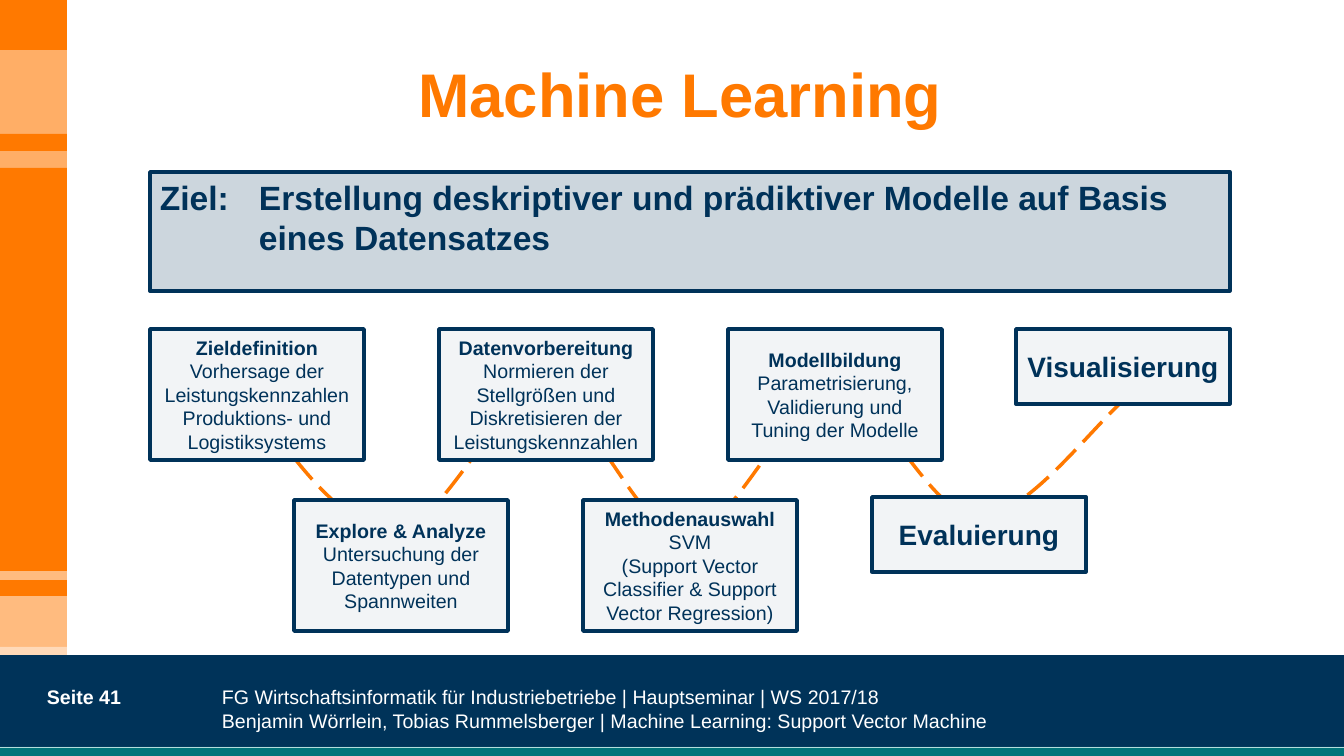
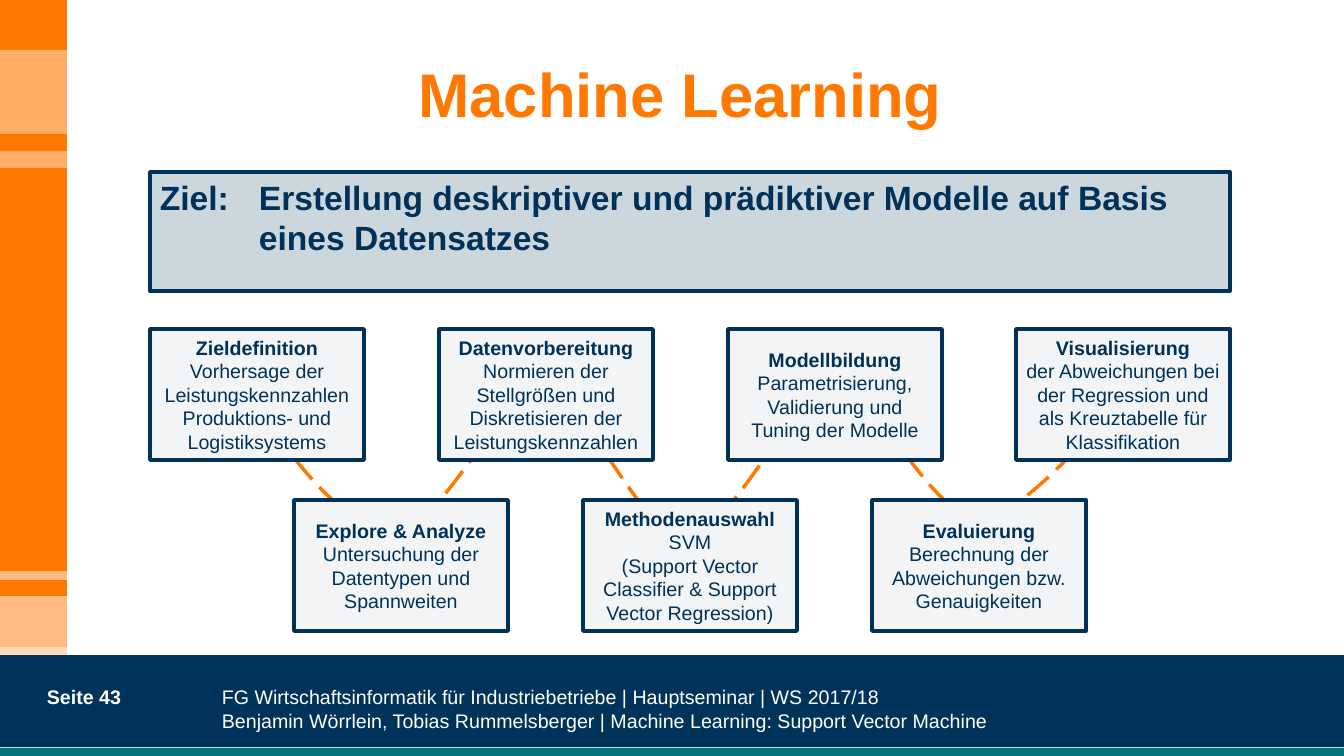
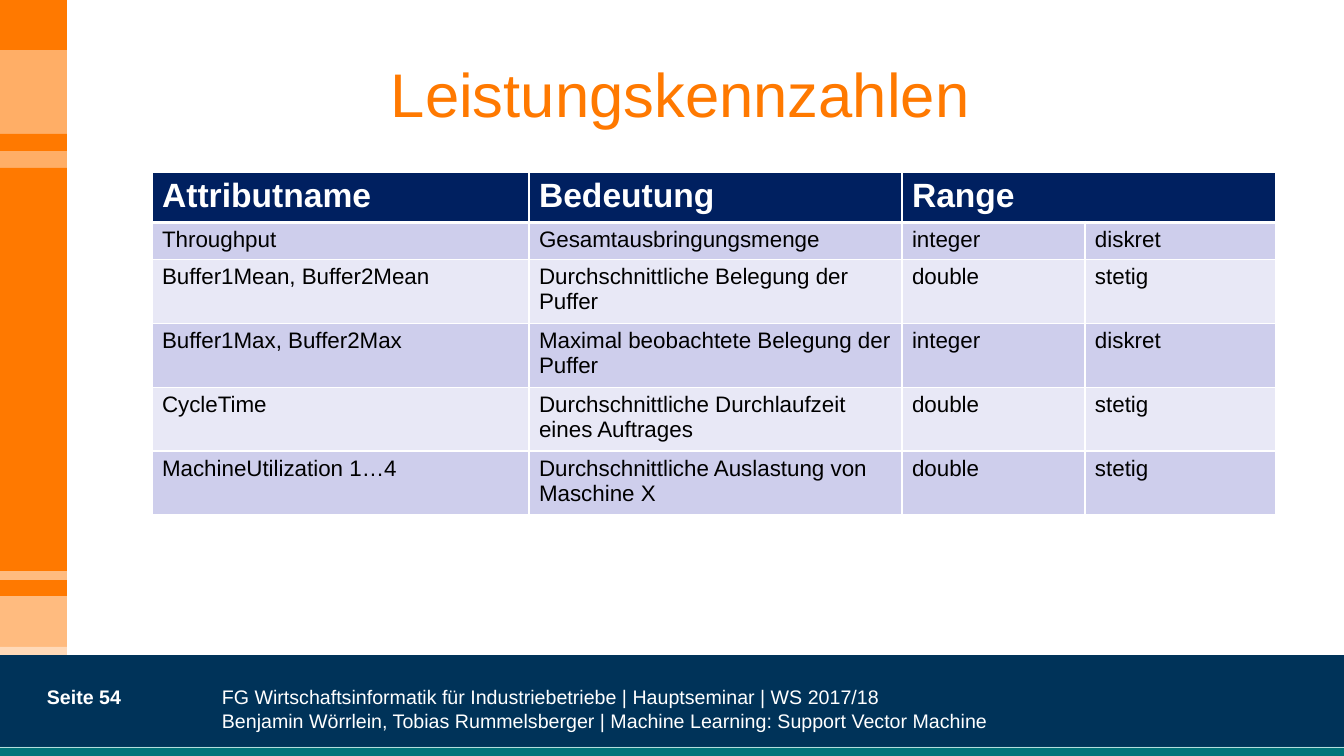
"""Build three slides on machine learning steps and performance figures."""
import pptx
import pptx.dml.color
import pptx.enum.dml
import pptx.enum.shapes
import pptx.enum.text
import pptx.oxml
import pptx.oxml.ns
import pptx.util

PX = 9072
FONT = "Arial"
COLORS = {
    "orange": "FF7900", "footer": "003359", "teal": "00747A",
    "teal_line": "B4DCDC", "navy": "003259", "white": "FFFFFF", "black": "000000",
    "header": "002060", "row_dark": "CECEEC", "row_light": "E8E8F6",
}
COLORS = {name: pptx.dml.color.RGBColor.from_string(code) for name, code in COLORS.items()}
ALIGN = pptx.enum.text.PP_ALIGN
ANCHOR = pptx.enum.text.MSO_ANCHOR
RECTANGLE = pptx.enum.shapes.MSO_SHAPE.RECTANGLE
NAMESPACE = pptx.oxml.ns.nsdecls("a")


def add_rectangle(shapes, place, fill, opacity=100, outline=None):
    """Add a flat rectangle, with an outline where one is named."""
    shape = shapes.add_shape(RECTANGLE, *[value * PX for value in place])
    shape.shadow.inherit = False
    shape.fill.solid()
    shape.fill.fore_color.rgb = COLORS[fill]
    if opacity < 100:
        tint = next(shape.element.spPr.iter(pptx.oxml.ns.qn("a:srgbClr")))
        tint.append(pptx.oxml.parse_xml(f'<a:alpha {NAMESPACE} val="{opacity * 1000}"/>'))
    if outline:
        shape.line.color.rgb = COLORS[outline]
        shape.line.width = pptx.util.Pt(2.5)
    else:
        shape.line.fill.background()
    return shape


def write(frame, lines, size, color, align=ALIGN.LEFT, anchor=ANCHOR.TOP):
    """Write (text, bold) lines as paragraphs, breaking lines at newlines."""
    frame.word_wrap = True
    frame.vertical_anchor = anchor
    for index, (text, bold) in enumerate(lines):
        para = frame.add_paragraph() if index else frame.paragraphs[0]
        para.alignment = align
        for row, part in enumerate(text.split("\n")):
            if row:
                para.add_line_break()
            span = para.add_run()
            span.text = part
            span.font.name = FONT
            span.font.size = pptx.util.Pt(size)
            span.font.bold = bold
            span.font.color.rgb = COLORS[color]


deck = pptx.Presentation()
deck.slide_width = 1344 * PX
deck.slide_height = 756 * PX
layout = deck.slide_layouts[5]

pages = [("Machine Learning", True, 41), ("Machine Learning", True, 43), ("Leistungskennzahlen", False, 54)]
footer_text = (
    "FG Wirtschaftsinformatik für Industriebetriebe | Hauptseminar | WS 2017/18\n"
    "Benjamin Wörrlein, Tobias Rummelsberger | Machine Learning: Support Vector Machine")
slides = []
for title, bold, number in pages:
    slide = deck.slides.add_slide(layout)
    slides.append(slide)
    heading = slide.shapes.title
    heading.left, heading.top, heading.width, heading.height = 85 * PX, 14 * PX, 1191 * PX, 158 * PX
    write(heading.text_frame, [(title, bold)], 44, "orange", ALIGN.CENTER, ANCHOR.MIDDLE)
    for left, width, text, strong in [(212, 803, footer_text, False), (37, 280, f"Seite {number}", True)]:
        box = slide.shapes.add_textbox(left * PX, 680 * PX, width * PX, 76 * PX)
        write(box.text_frame, [(text, strong)], 14, "white")

bands = [
    (0, 0, 67, 571, "orange", 60),
    (0, 655, 1344, 101, "footer", 100),
    (0, 210, 67, 101, "orange", 100),
    (0, 311, 67, 344, "orange", 50),
    (0, 168, 67, 403, "orange", 100),
    (0, 42, 67, 8, "orange", 50),
    (0, 647, 67, 8, "white", 45),
    (0, 747, 1344, 9, "teal", 100),
    (0, 0, 67, 50, "orange", 100),
    (0, 134, 67, 17, "orange", 100),
    (0, 580, 67, 16, "orange", 100),
]
frame_parts = [add_rectangle(slides[0].shapes, band[:4], *band[4:]) for band in bands]
rule = slides[0].shapes.add_connector(
    pptx.enum.shapes.MSO_CONNECTOR.STRAIGHT, 0, 747 * PX, 1344 * PX, 747 * PX)
rule.line.color.rgb = COLORS["teal_line"]
rule.line.width = pptx.util.Pt(0.25)
rule.element.spPr.append(pptx.oxml.parse_xml(f"<a:effectLst {NAMESPACE}/>"))
frame_parts.insert(8, rule)
layout_tree = layout.shapes.element
for index, part in enumerate(frame_parts):
    layout_tree.insert(2 + index, part.element)
for index, item in enumerate(layout_tree.iter(pptx.oxml.ns.qn("p:cNvPr")), 1):
    item.set("id", str(index))

first_steps = [
    ["Zieldefinition", "Vorhersage der Leistungskennzahlen Produktions- und Logistiksystems"],
    ["Explore & Analyze", "Untersuchung der Datentypen und Spannweiten"],
    ["Datenvorbereitung", "Normieren der Stellgrößen und Diskretisieren der Leistungskennzahlen"],
    ["Methodenauswahl", "SVM", "(Support Vector Classifier & Support Vector Regression)"],
    ["Modellbildung", "Parametrisierung, Validierung und Tuning der Modelle"],
]
last_steps = [
    [["Evaluierung"], ["Visualisierung"]],
    [
        ["Evaluierung", "Berechnung der Abweichungen bzw. Genauigkeiten"],
        ["Visualisierung", "der Abweichungen bei der Regression und als Kreuztabelle für Klassifikation"],
    ],
]
wave_start = (249, 396)
wave = [
    [(296, 464), (345, 530), (394, 530)],
    [(444, 530), (494, 396), (542, 396)],
    [(592, 397), (637, 536), (685, 535)],
    [(734, 535), (785, 397), (834, 394)],
    [(882, 391), (928, 517), (979, 517)],
    [(1028, 517), (1095, 422), (1131, 394)],
]

for slide, ending in zip(slides, last_steps):
    builder = slide.shapes.build_freeform(*wave_start, scale=PX)
    builder.add_line_segments([curve[-1] for curve in wave], close=False)
    wave_line = builder.convert_to_shape()
    segments = list(wave_line.element.iter(pptx.oxml.ns.qn("a:lnTo")))
    for segment, curve in zip(segments, wave):
        points = "".join(f'<a:pt x="{x - 249}" y="{y - 394}"/>' for x, y in curve)
        bend = pptx.oxml.parse_xml(f"<a:cubicBezTo {NAMESPACE}>{points}</a:cubicBezTo>")
        segment.getparent().replace(segment, bend)
    wave_line.shadow.inherit = False
    wave_line.fill.background()
    wave_line.line.color.rgb = COLORS["orange"]
    wave_line.line.width = pptx.util.Pt(2.5)
    wave_line.line.dash_style = pptx.enum.dml.MSO_LINE.LONG_DASH

    goal = add_rectangle(slide.shapes, (150, 172, 1080, 119), "navy", 20, "navy")
    write(goal.text_frame, [
        ("Ziel:\tErstellung deskriptiver und prädiktiver Modelle auf Basis", True),
        ("\teines Datensatzes", True),
    ], 24, "navy")
    for para in goal.text_frame.paragraphs:
        indent = para._p.get_or_add_pPr()
        indent.set("marL", str(99 * PX))
        indent.set("indent", str(-99 * PX))

    for index, texts in enumerate(first_steps + ending):
        short = len(texts) == 1
        left = 150 + round(index * 144.4)
        top = (497 if short else 500) if index % 2 else 329
        place = (left, top, 214, 75 if short else 131)
        group = slide.shapes.add_group_shape()
        add_rectangle(group.shapes, place, "white")
        box = add_rectangle(group.shapes, place, "navy", 5, "navy")
        lines = [(text, row == 0) for row, text in enumerate(texts)]
        write(box.text_frame, lines, 20 if short else 14, "navy", ALIGN.CENTER, ANCHOR.MIDDLE)

rows = [
    ["Attributname", "Bedeutung", "Range", ""],
    ["Throughput", "Gesamtausbringungsmenge", "integer", "diskret"],
    ["Buffer1Mean, Buffer2Mean", "Durchschnittliche Belegung der Puffer", "double", "stetig"],
    ["Buffer1Max, Buffer2Max", "Maximal beobachtete Belegung der Puffer", "integer", "diskret"],
    ["CycleTime", "Durchschnittliche Durchlaufzeit eines Auftrages", "double", "stetig"],
    ["MachineUtilization 1…4", "Durchschnittliche Auslastung von Maschine X", "double", "stetig"],
]
heights = [47, 35, 60, 60, 60, 60]
table = slides[2].shapes.add_table(6, 4, 152 * PX, 172 * PX, 1124 * PX, sum(heights) * PX).table
for column, width in zip(table.columns, [377, 373, 183, 191]):
    column.width = width * PX
table.cell(0, 2).merge(table.cell(0, 3))
for row_index, texts in enumerate(rows):
    table.rows[row_index].height = heights[row_index] * PX
    header = row_index == 0
    fill = "header" if header else ("row_dark" if row_index % 2 else "row_light")
    for column_index, text in enumerate(texts):
        cell = table.cell(row_index, column_index)
        cell.fill.solid()
        cell.fill.fore_color.rgb = COLORS[fill]
        if header:
            cell._tc.get_or_add_tcPr().insert(0, pptx.oxml.parse_xml(
                f'<a:lnB {NAMESPACE} w="38100"><a:solidFill>'
                f'<a:srgbClr val="{COLORS["white"]}"/></a:solidFill></a:lnB>'))
        if text:
            write(cell.text_frame, [(text, header)], 24 if header else 16,
                  "white" if header else "black")

deck.save("out.pptx")
